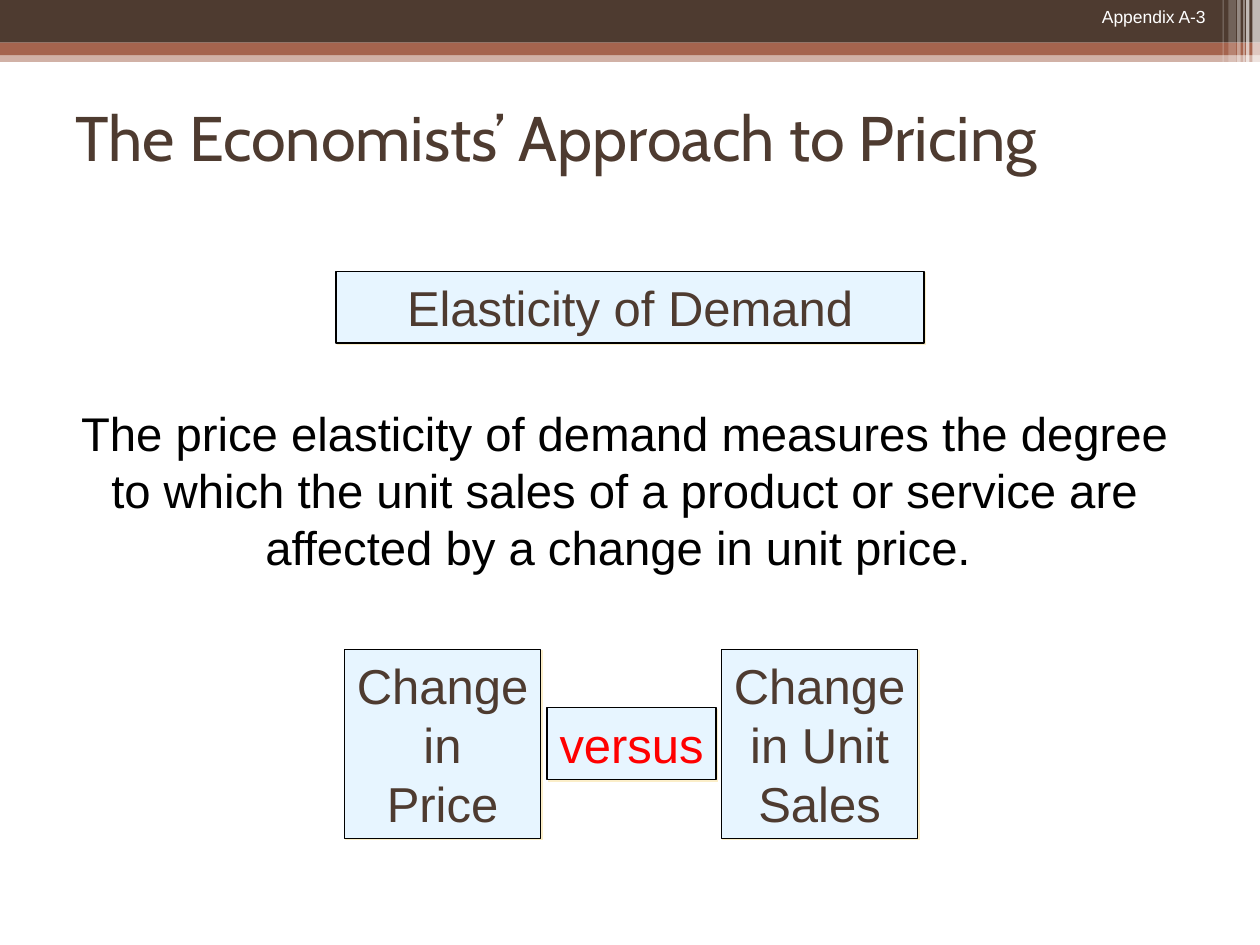
from dataclasses import dataclass

from lxml import etree
from pptx import Presentation
from pptx.dml.color import RGBColor
from pptx.enum.shapes import MSO_SHAPE
from pptx.enum.text import MSO_ANCHOR, PP_ALIGN
from pptx.oxml.ns import qn
from pptx.util import Pt

RECTANGLE = MSO_SHAPE.RECTANGLE
LEFT, CENTER, RIGHT = PP_ALIGN.LEFT, PP_ALIGN.CENTER, PP_ALIGN.RIGHT
TOP, MIDDLE = MSO_ANCHOR.TOP, MSO_ANCHOR.MIDDLE


@dataclass(frozen=True)
class Theme:
    brown: str = "4E3B30"
    rust: str = "A5644E"
    white: str = "FFFFFF"
    black: str = "000000"
    red: str = "FF0000"
    pale_blue: str = "E7F5FF"
    cream: str = "FBEEC9"
    body_font: str = "Arial"
    title_font: str = "Cabin"
    label_size: float = 10
    title_size: float = 36
    box_size: float = 28
    definition_size: float = 27
    leading: float = 1.207


THEME = Theme()


@dataclass(frozen=True)
class Area:
    left: float
    top: float
    width: float
    height: float

    def lengths(self) -> tuple:
        return Pt(self.left), Pt(self.top), Pt(self.width), Pt(self.height)


@dataclass(frozen=True)
class Band:
    area: Area
    color: str
    opacity: int = 100


@dataclass(frozen=True)
class Text:
    area: Area
    words: str
    size: float
    color: str
    font: str = THEME.body_font
    align: PP_ALIGN = CENTER
    anchor: MSO_ANCHOR = TOP
    wrap: bool = True
    boxed: bool = False


def add_rectangle(slide, area: Area, color: str):
    shape = slide.shapes.add_shape(RECTANGLE, *area.lengths())
    shape.shadow.inherit = False
    shape.fill.solid()
    shape.fill.fore_color.rgb = RGBColor.from_string(color)
    shape.line.fill.background()
    return shape


def draw_band(slide, band: Band) -> None:
    shape = add_rectangle(slide, band.area, band.color)
    if band.opacity < 100:
        color = shape.fill._xPr.find(".//" + qn("a:srgbClr"))
        etree.SubElement(color, qn("a:alpha"), val=str(band.opacity * 1000))


def add_framed_box(slide, area: Area):
    box = add_rectangle(slide, area, THEME.pale_blue)
    box.line.color.rgb = RGBColor.from_string(THEME.black)
    box.line.width = Pt(0.75)
    # Hard cream shadow towards the lower right
    effects = box._element.spPr.find(qn("a:effectLst"))
    shadow = etree.SubElement(effects, qn("a:outerShdw"), dist=str(Pt(1.4)),
                              dir=str(45 * 60000), algn="ctr", rotWithShape="0")
    etree.SubElement(shadow, qn("a:srgbClr"), val=THEME.cream)
    return box


def draw_text(slide, text: Text) -> None:
    if text.boxed:
        box = add_framed_box(slide, text.area)
    else:
        box = slide.shapes.add_textbox(*text.area.lengths())
    frame = box.text_frame
    para = frame.paragraphs[0]
    para.text = text.words
    frame_format = {"word_wrap": text.wrap, "vertical_anchor": text.anchor}
    para_format = {"alignment": text.align}
    if text.font == THEME.body_font:
        para_format["line_spacing"] = Pt(round(text.size * THEME.leading, 1))
    for target, values in ((frame, frame_format), (para, para_format)):
        for name, value in values.items():
            setattr(target, name, value)
    for span in para.runs:
        for name, value in {"size": Pt(text.size), "name": text.font}.items():
            setattr(span.font, name, value)
        span.font.color.rgb = RGBColor.from_string(text.color)


# Header bars, then translucent stripes at the right edge
BANDS = [
    Band(Area(0, 29, 720, 6.4), THEME.rust, 50),
    Band(Area(0, 0, 720, 24.4), THEME.brown),
    Band(Area(0, 24.4, 720, 7.2), THEME.rust),
] + [
    Band(Area(left, 0, width, height), THEME.white, opacity)
    for left, width, height, opacity in (
        (715.7, 4.3, 49, 65), (712, 2, 49, 65), (710.5, 0.7, 49, 60),
        (707, 2, 49, 40), (702, 4.3, 46, 20), (698.6, 0.7, 46, 30),
    )
]

TEXTS = [
    Text(Area(612, 0, 84, 19.4), "Appendix A-3", THEME.label_size, THEME.white,
         align=RIGHT),
    Text(Area(36, 36, 648, 84), "The Economists’ Approach to Pricing",
         THEME.title_size, THEME.brown, THEME.title_font, LEFT, MIDDLE),
    Text(Area(192, 155, 336, 41), "Elasticity of Demand",
         THEME.box_size, THEME.brown, boxed=True),
    Text(Area(36, 227, 642, 104.4),
         "The price elasticity of demand measures the degree to which the unit "
         "sales of a product or service are affected by a change in unit price. ",
         THEME.definition_size, THEME.black),
] + [
    # Comparison row, centred on one line
    Text(Area(left, 425 - height / 2, width, height), words, THEME.box_size,
         color, wrap=False, boxed=True)
    for left, width, height, words, color in (
        (196.8, 112.2, 108, "Change\vin\vPrice", THEME.brown),
        (312.6, 96.6, 41, "versus", THEME.red),
        (412.2, 112.2, 108, "Change\vin Unit\vSales", THEME.brown),
    )
]


def main() -> None:
    deck = Presentation()
    deck.slide_width, deck.slide_height = Pt(720), Pt(540)
    page = deck.slides.add_slide(deck.slide_layouts[6])
    for band in BANDS:
        draw_band(page, band)
    for text in TEXTS:
        draw_text(page, text)
    deck.save("out.pptx")


if __name__ == "__main__":
    main()
